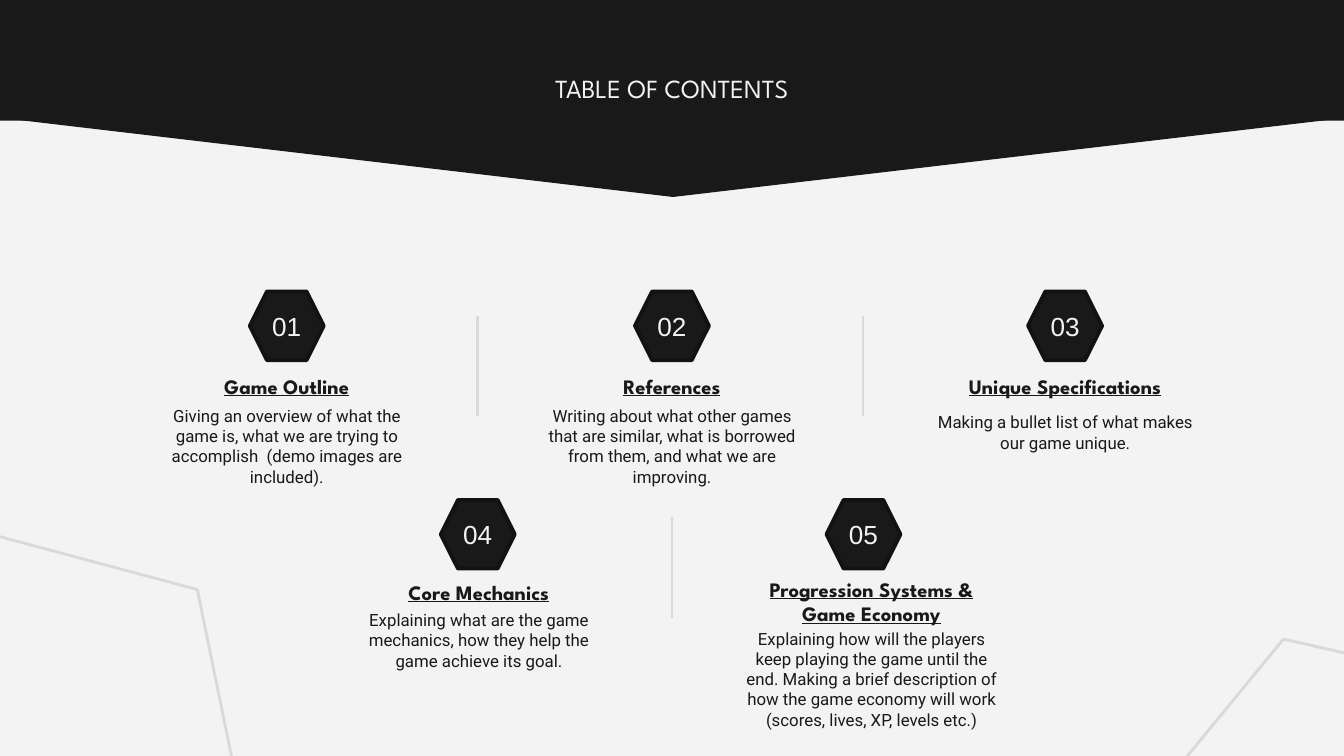
from dataclasses import dataclass

from lxml import etree
from pptx import Presentation
from pptx.dml.color import RGBColor
from pptx.enum.shapes import MSO_CONNECTOR, MSO_SHAPE
from pptx.enum.text import MSO_ANCHOR, MSO_AUTO_SIZE, PP_ALIGN
from pptx.oxml.ns import qn
from pptx.util import Cm, Pt

HEXAGON = MSO_SHAPE.HEXAGON
RECTANGLE = MSO_SHAPE.RECTANGLE
TRIANGLE = MSO_SHAPE.ISOSCELES_TRIANGLE
STRAIGHT = MSO_CONNECTOR.STRAIGHT
TOP = MSO_ANCHOR.TOP
MIDDLE = MSO_ANCHOR.MIDDLE
FIXED = MSO_AUTO_SIZE.NONE
GROW = MSO_AUTO_SIZE.SHAPE_TO_FIT_TEXT
CENTER = PP_ALIGN.CENTER


@dataclass(frozen=True)
class Theme:
    dark: str = "191919"
    edge: str = "121212"
    light: str = "F3F3F3"
    rule: str = "D9D9D9"
    heading_font: str = "League Spartan"
    body_font: str = "Roboto"
    number_font: str = "Arial"
    title_size: int = 14
    number_size: int = 14
    heading_size: int = 11
    body_size: int = 9


class ContentsPage:
    """Draw the elements of a contents slide in one theme."""

    def __init__(self, page, theme):
        self.page = page
        self.theme = theme
        self.formats = {
            "title": {"name": theme.heading_font, "size": Pt(theme.title_size), "bold": False},
            "heading": {"name": theme.heading_font, "size": Pt(theme.heading_size),
                        "bold": True, "underline": True},
            "body": {"name": theme.body_font, "size": Pt(theme.body_size)},
            "number": {"name": theme.number_font, "size": Pt(theme.number_size)},
        }
        fill = page.background.fill
        fill.solid()
        fill.fore_color.rgb = RGBColor.from_string(theme.light)

    def fill_text(self, box, text, style, color, anchor=TOP, inset=0.25, fit=FIXED):
        frame = box.text_frame
        frame.text = text
        settings = {
            "word_wrap": True, "auto_size": fit, "vertical_anchor": anchor,
            "margin_left": Cm(0.25), "margin_right": Cm(0.25),
            "margin_top": Cm(inset), "margin_bottom": Cm(inset),
        }
        for name, value in settings.items():
            setattr(frame, name, value)
        para = frame.paragraphs[0]
        para.alignment = CENTER
        font = para.runs[0].font
        for name, value in self.formats[style].items():
            setattr(font, name, value)
        font.color.rgb = RGBColor.from_string(color)

    def title(self, text, left, top, width, height):
        box = self.page.shapes.title
        place = {"left": left, "top": top, "width": width, "height": height}
        for name, value in place.items():
            setattr(box, name, Cm(value))
        self.fill_text(box, text, "title", self.theme.light)
        self.page.shapes.element.append(box.element)

    def text(self, text, style, center, top, width, height, color, **layout):
        box = self.page.shapes.add_textbox(
            Cm(center - width / 2), Cm(top), Cm(width), Cm(height))
        self.fill_text(box, text, style, color, **layout)

    def shape(self, kind, left, top, width, height, fill=None, line=None, weight=1.5, rotation=0):
        shape = self.page.shapes.add_shape(kind, Cm(left), Cm(top), Cm(width), Cm(height))
        shape.shadow.inherit = False
        shape.rotation = rotation
        if fill:
            shape.fill.solid()
            shape.fill.fore_color.rgb = RGBColor.from_string(fill)
        else:
            shape.fill.background()
        if line:
            shape.line.color.rgb = RGBColor.from_string(line)
            shape.line.width = Pt(weight)
        else:
            shape.line.fill.background()

    def divider(self, x, top, length):
        line = self.page.shapes.add_connector(STRAIGHT, Cm(x), Cm(top), Cm(x), Cm(top + length))
        line.line.color.rgb = RGBColor.from_string(self.theme.rule)
        line.line.width = Pt(1.5)
        etree.SubElement(line.element.spPr, qn("a:effectLst"))

    def banner(self):
        dark = self.theme.dark
        self.shape(TRIANGLE, -0.03, 2.21, 25.5, 1.5, dark, dark, 0.75, 180)
        self.shape(RECTANGLE, -0.03, -0.1, 25.5, 2.38, dark)

    def badge(self, number, center, top):
        theme = self.theme
        self.shape(HEXAGON, center - 0.7, top, 1.4, 1.3, theme.dark, theme.edge, 2)
        self.text(f"{number:02d}", "number", center, top + 0.22, 1.2, 0.86,
                  theme.light, inset=0.13, fit=GROW)

    def topic(self, number, heading, body, center, text_center, badge_top, heading_top, body_top):
        dark = self.theme.dark
        self.badge(number, center, badge_top)
        self.text(heading, "heading", text_center, heading_top, 4.85, 1.6, dark, anchor=MIDDLE)
        self.text(body, "body", text_center, body_top, 5.46, 1.6, dark)


TOPICS = [
    ("Game Outline",
     "Giving an overview of what the game is, what we are trying to "
     "accomplish  (demo images are included).",
     5.42, 5.42, 5.51, 6.5, 7.42),
    ("References",
     "Writing about what other games that are similar, what is borrowed "
     "from them, and what we are improving.",
     12.7, 12.7, 5.51, 6.5, 7.42),
    ("Unique Specifications",
     "Making a bullet list of what makes our game unique.",
     20.13, 20.13, 5.51, 6.5, 7.54),
    ("Core Mechanics",
     "Explaining what are the game mechanics, how they help the game achieve its goal.",
     9.03, 9.05, 9.45, 10.39, 11.28),
    ("Progression Systems & Game Economy",
     "Explaining how will the players keep playing the game until the end. "
     "Making a brief description of how the game economy will work "
     "(scores, lives, XP, levels etc.)",
     16.32, 16.47, 9.45, 10.57, 11.63),
]
DIVIDERS = [(9.02, 5.97), (16.31, 5.97), (12.7, 9.78)]
OUTLINES = [(-3.61, 10.39, 15), (21.06, 12.83, 309.4)]


def main():
    deck = Presentation()
    deck.slide_width, deck.slide_height = Cm(25.4), Cm(14.29)
    theme = Theme()
    contents = ContentsPage(deck.slides.add_slide(deck.slide_layouts[5]), theme)
    contents.banner()
    contents.title("TABLE OF CONTENTS", 8.56, 1.12, 8.28, 1.9)
    for x, top in DIVIDERS:
        contents.divider(x, top, 1.9)
    for left, top, rotation in OUTLINES:
        contents.shape(HEXAGON, left, top, 8.2, 6.43, line=theme.rule, rotation=rotation)
    for number, topic in enumerate(TOPICS, start=1):
        contents.topic(number, *topic)
    deck.save("out.pptx")


if __name__ == "__main__":
    main()
